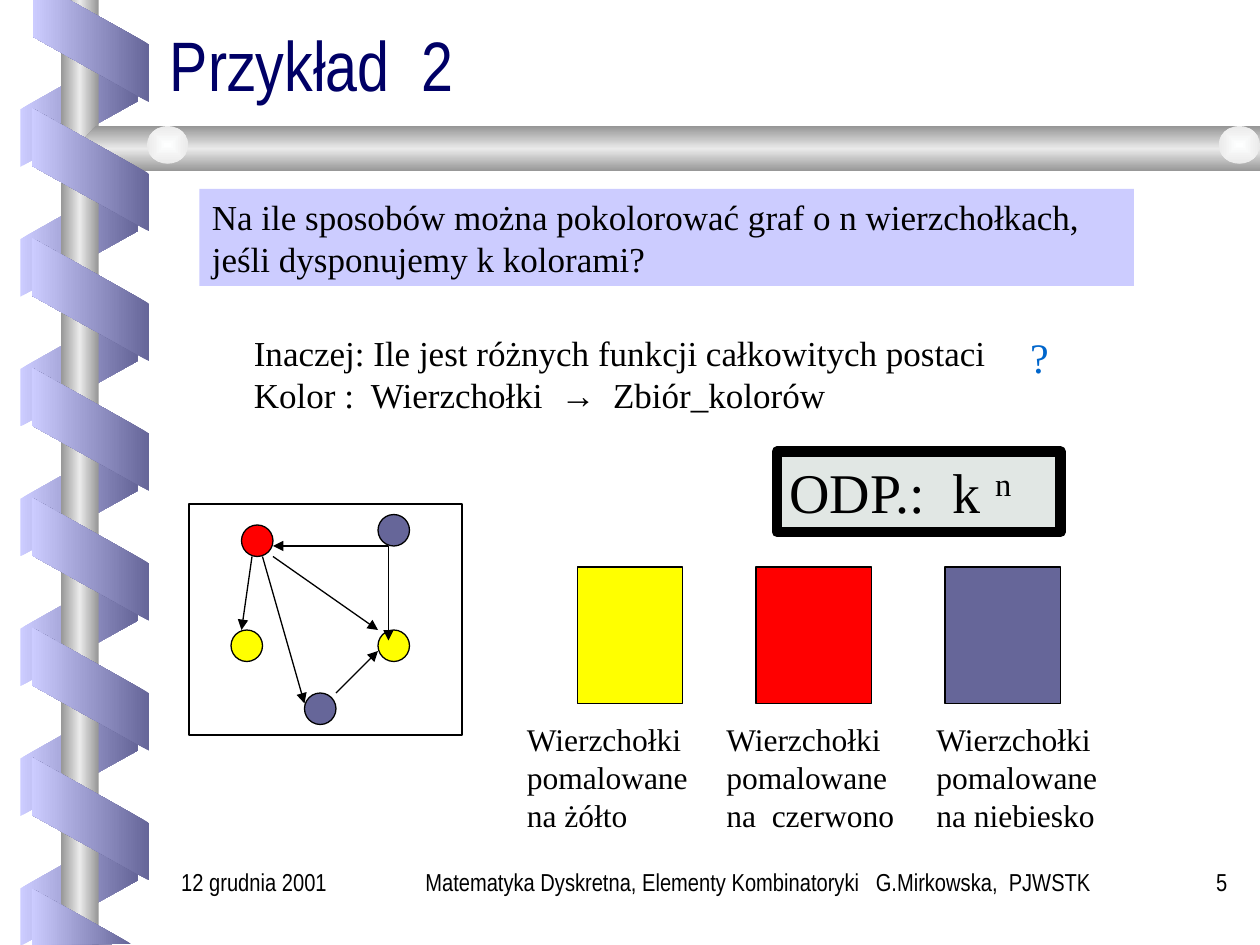
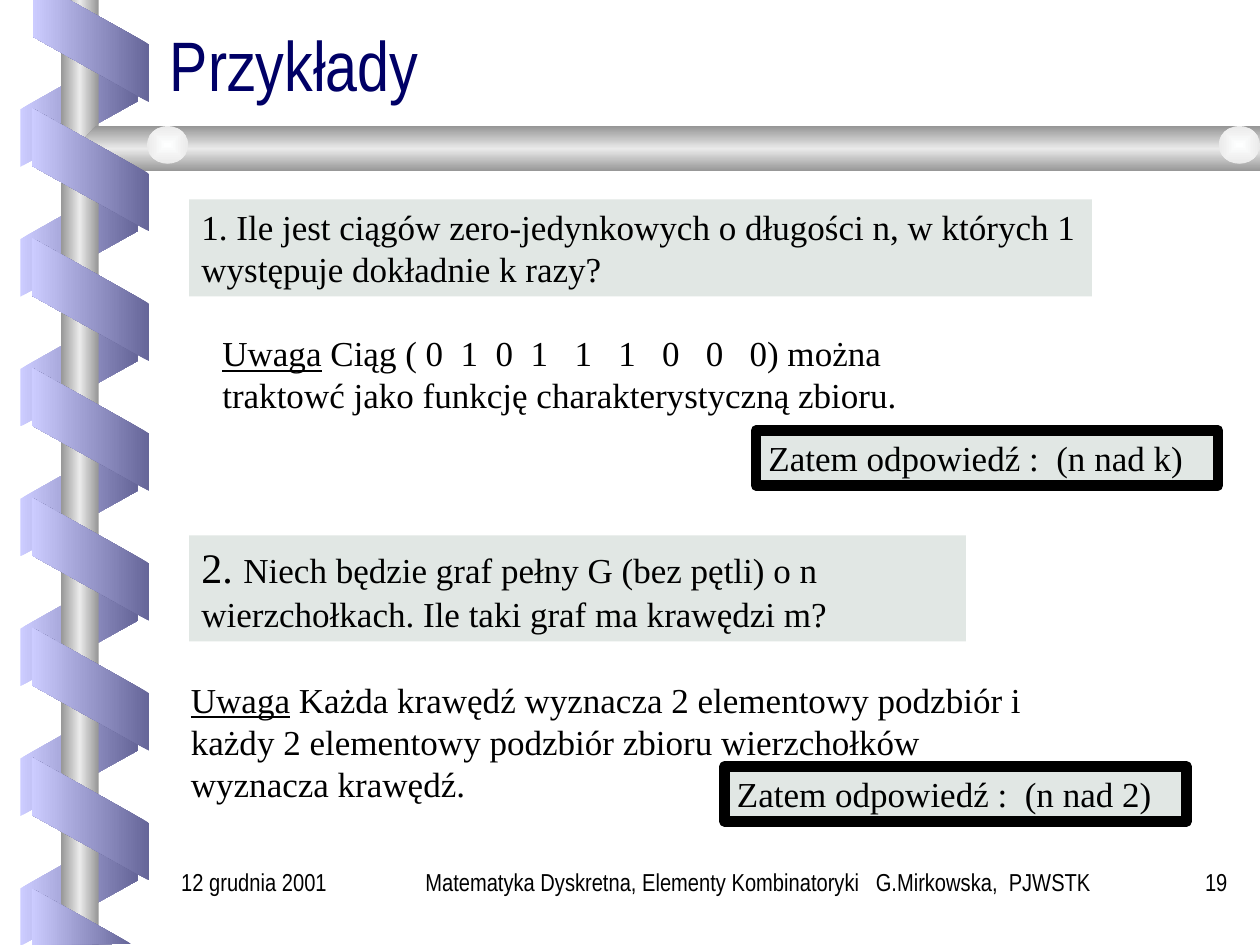
from dataclasses import dataclass
from typing import NamedTuple, Optional

from lxml.etree import SubElement
from pptx import Presentation
from pptx.dml.color import RGBColor
from pptx.enum.shapes import MSO_CONNECTOR, MSO_SHAPE
from pptx.enum.text import MSO_ANCHOR, PP_ALIGN
from pptx.oxml.ns import qn
from pptx.util import Pt


@dataclass(frozen=True)
class Theme:
    black: str = "000000"
    navy: str = "000066"
    blue: str = "0066CC"
    lilac: str = "CCCCFF"
    slate: str = "666699"
    grey: str = "969696"
    silver: str = "EAEAEA"
    pearl: str = "FEFFFF"
    mist: str = "E1E7E4"
    red: str = "FF0000"
    yellow: str = "FFFF00"
    serif: str = "Times New Roman"
    narrow: str = "Arial Narrow"
    sans: str = "Arial"
    title: float = 40
    answer: float = 32
    large: float = 24
    body: float = 20
    label: float = 18
    foot: float = 14
    thin: float = 0.75
    thick: float = 6


THEME = Theme()


class Box(NamedTuple):
    left: float
    top: float
    width: float
    height: float


class Point(NamedTuple):
    x: float
    y: float


@dataclass(frozen=True)
class Bit:
    """A stretch of text in one format."""
    text: str
    size: float = THEME.body
    face: str = THEME.serif
    color: str = THEME.black
    under: bool = False
    raised: bool = False


@dataclass(frozen=True)
class Blend:
    """A gradient: evenly spaced colours and an angle, or None for centred."""
    colors: tuple[str, ...]
    angle: Optional[int] = 180


@dataclass(frozen=True)
class Note:
    """A block of text, with a fill and a border where given."""
    box: Box
    bits: tuple[Bit, ...]
    fill: Optional[str] = None
    line: float = 0
    align: PP_ALIGN = PP_ALIGN.LEFT


@dataclass(frozen=True)
class Swatch:
    box: Box
    color: str
    label: Box
    text: str


BACK = Blend((THEME.lilac, THEME.slate))
FRONT = Blend((THEME.slate, THEME.lilac))
STEEL = (THEME.grey, THEME.silver, THEME.grey)
KNOB = Blend((THEME.pearl, THEME.silver), None)
PITCH = 74.2

BAR = (Point(720, 72), Point(54.7, 72), Point(43.2, 85), Point(54.7, 98), Point(720, 98))
CREST = (Point(18.7, 0), Point(18.7, 20.9), Point(85, 58.3), Point(85, 25.2), Point(39.6, 0))
TAIL = (Point(74.9, 539.3), Point(18, 507.6), Point(18, 540))

NODES = (
    (Point(138, 300), THEME.red),
    (Point(132, 360), THEME.yellow),
    (Point(216, 360), THEME.yellow),
    (Point(216, 294), THEME.slate),
    (Point(174, 396), THEME.slate),
)
EDGES = (
    (Point(222, 312), Point(156, 312)),
    (Point(150, 318), Point(174, 402)),
    (Point(222, 312), Point(222, 366)),
    (Point(156, 318), Point(216, 360)),
    (Point(144, 318), Point(138, 360)),
    (Point(192, 396), Point(216, 372)),
)
SWATCHES = (
    Swatch(Box(330, 324, 60, 78), THEME.yellow, Box(294, 408, 120, 72),
           "Wierzchołki pomalowane na żółto"),
    Swatch(Box(432, 324, 66, 78), THEME.red, Box(408, 408, 120, 72),
           "Wierzchołki pomalowane na  czerwono"),
    Swatch(Box(540, 324, 66, 78), THEME.slate, Box(528, 408, 126, 72),
           "Wierzchołki pomalowane na niebiesko"),
)
COLOR_NOTES = (
    Note(Box(114, 108, 534, 55.4), (
        Bit("Na ile sposobów można pokolorować graf o n wierzchołkach, "
            "jeśli dysponujemy k kolorami?"),), THEME.lilac),
    Note(Box(138, 186, 474, 55.4), (
        Bit("Inaczej: Ile jest różnych funkcji całkowitych postaci Kolor :  Wierzchołki  "),
        Bit("→", face=THEME.sans),
        Bit("  Zbiór_kolorów"))),
    Note(Box(576, 186, 36, 45), (Bit("?", THEME.large, color=THEME.blue),),
         align=PP_ALIGN.CENTER),
    Note(Box(444, 258, 162, 46), (
        Bit("ODP.:  k ", THEME.answer),
        Bit("n", THEME.answer, raised=True)), THEME.mist, THEME.thick),
)
COUNT_NOTES = (
    Note(Box(108, 114, 516, 55.4), (
        Bit("1. Ile jest ciągów zero-jedynkowych o długości n, w których 1 "
            "występuje dokładnie k razy?"),), THEME.mist),
    Note(Box(120, 186, 462, 55.4), (
        Bit("Uwaga", under=True),
        Bit(" Ciąg ( 0  1  0  1   1   1   0   0   0) można traktowć jako "
            "funkcję charakterystyczną zbioru."))),
    Note(Box(432, 246, 264, 31.4), (Bit("Zatem odpowiedź :  (n nad k)"),),
         THEME.mist, THEME.thick),
    Note(Box(108, 306, 444, 60.5), (
        Bit("2. ", THEME.large),
        Bit("Niech będzie graf pełny G (bez pętli) o n wierzchołkach. "
            "Ile taki graf ma krawędzi m?")), THEME.mist),
    Note(Box(102, 384, 492, 79), (
        Bit("Uwaga", under=True),
        Bit(" Każda krawędź wyznacza 2 elementowy podzbiór i każdy 2 elementowy "
            "podzbiór zbioru wierzchołków wyznacza krawędź."))),
    Note(Box(414, 438, 264, 31.4), (Bit("Zatem odpowiedź :  (n nad 2)"),),
         THEME.mist, THEME.thick),
)


def paint(shape, fill: Optional[str], line: float = 0) -> None:
    """Set a plain fill and a black border; None or 0 leaves them out."""
    shape.shadow.inherit = False
    if fill:
        shape.fill.solid()
        shape.fill.fore_color.rgb = RGBColor.from_string(fill)
    else:
        shape.fill.background()
    if line:
        shape.line.width = Pt(line)
        shape.line.color.rgb = RGBColor.from_string(THEME.black)
    else:
        shape.line.fill.background()


def shade(shape, blend: Blend) -> None:
    """Fill with a gradient that keeps its direction when the shape turns."""
    paint(shape, blend.colors[0])
    props = shape._element.spPr
    solid = props.find(qn("a:solidFill"))
    grad = SubElement(props, qn("a:gradFill"), rotWithShape="0")
    props.replace(solid, grad)
    stops = SubElement(grad, qn("a:gsLst"))
    for i, color in enumerate(blend.colors):
        place = i * 100000 // (len(blend.colors) - 1)
        stop = SubElement(stops, qn("a:gs"), pos=str(place))
        SubElement(stop, qn("a:srgbClr"), val=color)
    if blend.angle is None:
        way = SubElement(grad, qn("a:path"), path="rect")
        SubElement(way, qn("a:fillToRect"), l="50000", t="50000", r="50000", b="50000")
    else:
        SubElement(grad, qn("a:lin"), ang=str(blend.angle * 60000), scaled="0")


def add_form(slide, kind: MSO_SHAPE, box: Box):
    return slide.shapes.add_shape(kind, *map(Pt, box))


def add_outline(slide, points: tuple[Point, ...], blend: Blend) -> None:
    start, *rest = [(Pt(p.x), Pt(p.y)) for p in points]
    pen = slide.shapes.build_freeform(*start)
    pen.add_line_segments(rest, close=True)
    shade(pen.convert_to_shape(), blend)


def add_strip(slide, left: float, top: float, back: bool) -> None:
    """Draw one turn of the ribbon, behind or before the pole."""
    strip = add_form(slide, MSO_SHAPE.PARALLELOGRAM, Box(left, top, 70.4, 67))
    strip.adjustments[0] = 0.56
    strip.rotation = 90 if back else 270
    if back:
        strip._element.spPr.xfrm.set("flipH", "1")
    shade(strip, BACK if back else FRONT)


def write(shape, bits: tuple[Bit, ...], align: PP_ALIGN = PP_ALIGN.LEFT):
    frame = shape.text_frame
    frame.word_wrap = True
    frame.vertical_anchor = MSO_ANCHOR.TOP
    para = frame.paragraphs[0]
    para.alignment = align
    for bit in bits:
        run = para.add_run()
        run.text = bit.text
        font = run.font
        font.size, font.name, font.underline = Pt(bit.size), bit.face, bit.under
        font.color.rgb = RGBColor.from_string(bit.color)
        if bit.raised:
            run._r.get_or_add_rPr().set("baseline", "30000")
    return frame


def add_note(slide, note: Note):
    if note.fill:
        shape = add_form(slide, MSO_SHAPE.RECTANGLE, note.box)
        paint(shape, note.fill, note.line)
    else:
        shape = slide.shapes.add_textbox(*map(Pt, note.box))
    return write(shape, note.bits, note.align)


def add_arrow(slide, start: Point, end: Point) -> None:
    arrow = slide.shapes.add_connector(MSO_CONNECTOR.STRAIGHT, *map(Pt, start + end))
    arrow.line.width = Pt(THEME.thin)
    arrow.line.color.rgb = RGBColor.from_string(THEME.black)
    SubElement(arrow.line._get_or_add_ln(), qn("a:tailEnd"), type="triangle")
    SubElement(arrow._element.spPr, qn("a:effectLst"))


def add_decor(slide) -> None:
    """Draw the ribbon round its pole and the bar below the title."""
    for i in range(7):
        add_strip(slide, 10, 26.6 + i * PITCH, True)
    pole = add_form(slide, MSO_SHAPE.RECTANGLE, Box(34.8, 0, 21.6, 540))
    shade(pole, Blend(STEEL))
    add_outline(slide, BAR, Blend(STEEL, 90))
    for left in (84, 696.4):
        shade(add_form(slide, MSO_SHAPE.OVAL, Box(left, 72, 23.6, 21.6)), KNOB)
    for i in range(6):
        add_strip(slide, 16.4, 63.4 + i * PITCH, False)
    add_outline(slide, CREST, FRONT)
    add_outline(slide, TAIL, FRONT)


def add_page(deck, title: str, number: int, notes: tuple[Note, ...]):
    slide = deck.slides.add_slide(deck.slide_layouts[6])
    add_decor(slide)
    head = Bit(title, THEME.title, THEME.narrow, THEME.navy)
    frame = add_note(slide, Note(Box(90, 18, 612, 45.4), (head,)))
    frame.vertical_anchor = MSO_ANCHOR.BOTTOM
    frame.paragraphs[0].line_spacing = 0.8
    for note in notes:
        add_note(slide, note)
    for left, width, text, align in (
        (228, 414, "Matematyka Dyskretna, Elementy Kombinatoryki   G.Mirkowska,  PJWSTK ",
         PP_ALIGN.CENTER),
        (648, 60.5, str(number), PP_ALIGN.RIGHT),
        (96.5, 125.3, "12 grudnia 2001", PP_ALIGN.LEFT),
    ):
        bit = Bit(text, THEME.foot, THEME.narrow)
        add_note(slide, Note(Box(left, 492, width, 36), (bit,), align=align))
    return slide


def add_graph(slide) -> None:
    for spot, color in NODES:
        paint(add_form(slide, MSO_SHAPE.OVAL, Box(*spot, 18, 18)), color, THEME.thin)
    for start, end in EDGES:
        add_arrow(slide, start, end)
    paint(add_form(slide, MSO_SHAPE.RECTANGLE, Box(108, 288, 156, 132)), None, THEME.thin)


def add_swatch(slide, swatch: Swatch) -> None:
    paint(add_form(slide, MSO_SHAPE.RECTANGLE, swatch.box), swatch.color, THEME.thin)
    add_note(slide, Note(swatch.label, (Bit(swatch.text, THEME.label),)))


def main() -> None:
    deck = Presentation()
    deck.slide_width, deck.slide_height = Pt(720), Pt(540)
    slide = add_page(deck, "Przykład  2", 5, COLOR_NOTES)
    add_graph(slide)
    for swatch in SWATCHES:
        add_swatch(slide, swatch)
    add_page(deck, "Przykłady", 19, COUNT_NOTES)
    deck.save("out.pptx")


if __name__ == "__main__":
    main()
